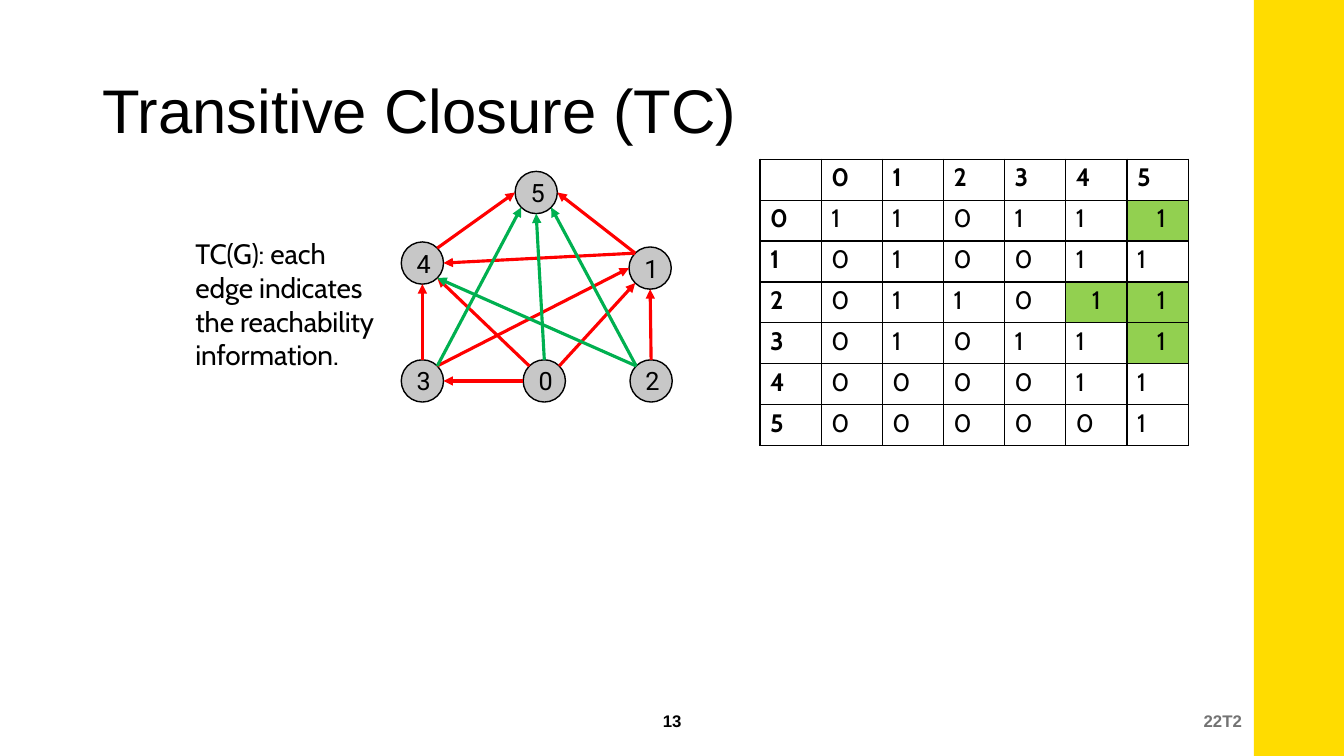
from math import cos, radians, sin

from lxml.etree import SubElement
from pptx import Presentation
from pptx.dml.color import RGBColor
from pptx.enum.shapes import MSO_CONNECTOR as Connector
from pptx.enum.shapes import MSO_SHAPE as Shape
from pptx.enum.text import MSO_ANCHOR as Anchor
from pptx.enum.text import PP_ALIGN as Align
from pptx.oxml.ns import qn
from pptx.util import Pt

COLORS = {
    "black": "000000", "yellow": "FFDC00", "node": "C7C7C7", "gray": "737373",
    "edge": "FF0000", "closure": "00B050", "added": "92D050",
}
NODE_SIZE = 30.2
NODES = {
    0: (373.7, 257), 1: (449.3, 176.4), 2: (450, 257),
    3: (286.6, 257), 4: (286.6, 172.8), 5: (367.9, 122.4),
}
TOP, TOP_LEFT, LEFT, BOTTOM_LEFT = 90, 135, 180, 225
BOTTOM, BOTTOM_RIGHT, RIGHT, TOP_RIGHT = 270, 315, 0, 45
EDGES = {
    "edge": [
        (0, LEFT, 3, RIGHT), (0, TOP_LEFT, 4, BOTTOM_RIGHT),
        (0, TOP_RIGHT, 1, BOTTOM_LEFT), (1, TOP_LEFT, 4, RIGHT),
        (1, TOP_LEFT, 5, RIGHT), (2, TOP, 1, BOTTOM), (3, TOP, 4, BOTTOM),
        (3, TOP_RIGHT, 1, LEFT), (4, TOP_RIGHT, 5, LEFT),
    ],
    "closure": [
        (0, TOP, 5, BOTTOM), (2, TOP_LEFT, 4, BOTTOM_RIGHT),
        (2, TOP_LEFT, 5, BOTTOM_RIGHT), (3, TOP_RIGHT, 5, BOTTOM_LEFT),
    ],
}
REACHABLE = ["110111", "010011", "011011", "010111", "000011", "000001"]
ADDED = {(0, 5), (2, 4), (2, 5), (3, 5)}


def color(name):
    return RGBColor.from_string(COLORS[name])


def write(frame, text, font, size, ink="black", bold=False, align=Align.LEFT):
    frame.text = text
    para = frame.paragraphs[0]
    para.alignment = align
    span = para.runs[0]
    span.font.name = font
    span.font.size = Pt(size)
    span.font.bold = bold
    span.font.color.rgb = color(ink)
    return span


def add_text(page, left, top, width, height, text, font, size, **style):
    box = page.shapes.add_textbox(Pt(left), Pt(top), Pt(width), Pt(height))
    box.text_frame.word_wrap = True
    return box.text_frame, write(box.text_frame, text, font, size, **style)


def add_title(page, text):
    title = page.shapes.title
    title.left, title.top = Pt(66), Pt(28.8)
    title.width, title.height = Pt(828), Pt(104.4)
    title.text_frame.vertical_anchor = Anchor.MIDDLE
    write(title.text_frame, text, "Arial", 44)
    title.text_frame.paragraphs[0].line_spacing = 0.9


def add_shape(page, kind, left, top, width, height, fill):
    shape = page.shapes.add_shape(kind, Pt(left), Pt(top), Pt(width), Pt(height))
    shape.shadow.inherit = False
    shape.fill.solid()
    shape.fill.fore_color.rgb = color(fill)
    shape.line.fill.background()
    return shape


def add_node(page, number):
    left, top = NODES[number]
    node = add_shape(page, Shape.OVAL, left, top, NODE_SIZE, NODE_SIZE, "node")
    node.line.color.rgb = color("black")
    node.line.width = Pt(1)
    frame = node.text_frame
    frame.margin_left = Pt(2)
    frame.margin_right = frame.margin_top = frame.margin_bottom = 0
    frame.vertical_anchor = Anchor.MIDDLE
    write(frame, str(number), "Roboto", 18, align=Align.CENTER)


def rim_point(number, angle):
    left, top = NODES[number]
    radius = NODE_SIZE / 2
    turn = radians(angle)
    return Pt(left + radius * (1 + cos(turn))), Pt(top + radius * (1 - sin(turn)))


def add_arrow(page, start, end, ink):
    arrow = page.shapes.add_connector(Connector.STRAIGHT, *start, *end)
    arrow.line.color.rgb = color(ink)
    arrow.line.width = Pt(2.25)
    SubElement(arrow.line._get_or_add_ln(), qn("a:tailEnd"), type="triangle")
    SubElement(arrow._element.spPr, qn("a:effectLst"))


def format_cell(cell, fill=None):
    properties = cell._tc.get_or_add_tcPr()
    for side in "LRTB":
        border = SubElement(properties, qn(f"a:ln{side}"), w=str(Pt(1)))
        paint = SubElement(border, qn("a:solidFill"))
        SubElement(paint, qn("a:srgbClr"), val=COLORS["black"])
    if fill:
        cell.fill.solid()
        cell.fill.fore_color.rgb = color(fill)
    else:
        cell.fill.background()
    cell.margin_left, cell.margin_top = Pt(7.2), Pt(2.2)
    cell.margin_right = cell.margin_bottom = 0


def add_matrix(page):
    size = len(REACHABLE) + 1
    table = page.shapes.add_table(
        size, size, Pt(542.9), Pt(113.8), Pt(43.7 * size), Pt(29.2 * size)).table
    table.first_row = table.horz_banding = False
    labels = [str(number) for number in range(size - 1)]
    grid = [["", *labels]]
    grid += [[label, *values] for label, values in zip(labels, REACHABLE)]
    for row, values in enumerate(grid):
        for column, value in enumerate(values):
            cell = table.cell(row, column)
            added = (row - 1, column - 1) in ADDED
            format_cell(cell, "added" if added else None)
            align = Align.LEFT
            if added:
                cell.margin_left = 0
                align = Align.CENTER
                if column == size - 1:
                    cell.margin_right = Pt(16)
                    align = Align.RIGHT
            if value:
                write(cell.text_frame, value, "Cabin", 18,
                      bold=row == 0 or column == 0, align=align)


def main():
    """Build the transitive closure slide."""
    deck = Presentation()
    deck.slide_width, deck.slide_height = Pt(960), Pt(540)
    page = deck.slides.add_slide(deck.slide_layouts[5])
    add_shape(page, Shape.RECTANGLE, 895.7, 0, 64.3, 540, "yellow")
    add_title(page, "Transitive Closure (TC)")
    add_matrix(page)
    for number in NODES:
        add_node(page, number)
    for ink, edges in EDGES.items():
        for source, source_angle, target, target_angle in edges:
            add_arrow(page, rim_point(source, source_angle),
                      rim_point(target, target_angle), ink)
    _, span = add_text(
        page, 132.5, 165.6, 145.4, 104.4,
        "TC(G): each edge indicates the reachability information.", "Cabin", 20)
    span._r.get_or_add_rPr().set("spc", "-10")
    for left, width, text, ink, align in (
            (570.2, 324, "22T2", "gray", Align.RIGHT),
            (372.2, 216, "13", "black", Align.CENTER)):
        frame, _ = add_text(page, left, 500.4, width, 28.8, text, "Arial", 12,
                            ink=ink, bold=True, align=align)
        frame.vertical_anchor = Anchor.MIDDLE
    deck.save("out.pptx")


if __name__ == "__main__":
    main()
